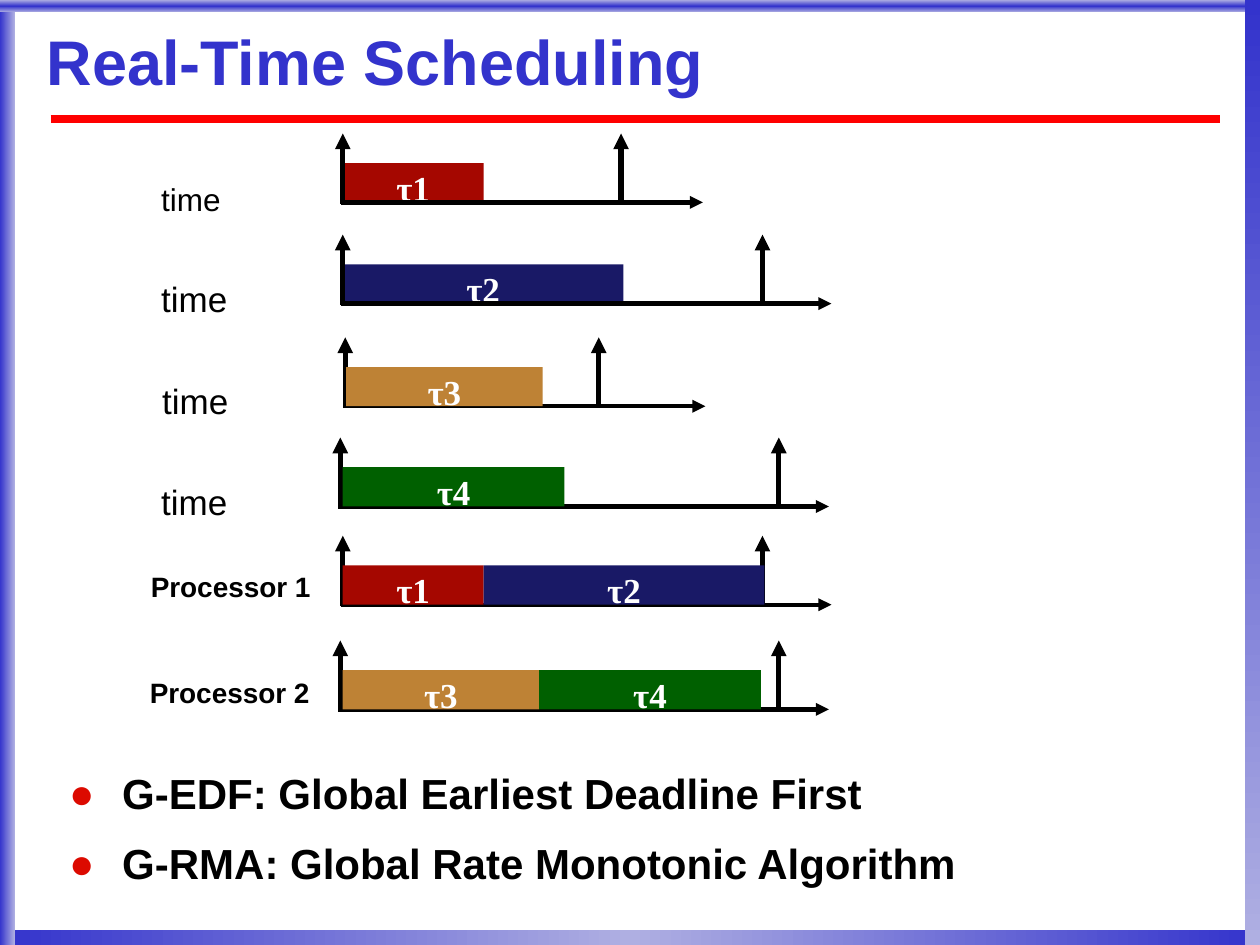
from dataclasses import dataclass
from lxml.etree import SubElement as Sub
from pptx import Presentation
from pptx.dml.color import RGBColor as Rgb
from pptx.enum.shapes import MSO_CONNECTOR as Conn, MSO_SHAPE as Kind
from pptx.enum.text import MSO_ANCHOR as Anchor, MSO_AUTO_SIZE as Fit, PP_ALIGN as Align
from pptx.oxml.ns import qn
from pptx.util import Cm, Pt

BLUE, PALE, BLACK = "3333CC", "AFAFE2", "000000"


@dataclass
class Task:
    name: str
    color: str
    width: float


@dataclass
class Row:
    label: str
    size: int
    at: tuple[float, float]
    left: float
    base: float
    due: float
    end: float
    tasks: list[Task]
    start: float = 6.91
    front: bool = True


T1 = Task("τ1", "A50700", 2.84)
T2 = Task("τ2", "191966", 5.66)
T3 = Task("τ3", "BE8235", 3.96)
T4 = Task("τ4", "006000", 4.47)

ROWS = [
    Row("time", 18, (3, 3.56), 6.91, 4.08, 12.52, 14.17, [T1], front=False),
    Row("time", 20, (3, 5.54), 6.91, 6.12, 15.37, 16.76, [T2], front=False),
    Row("time", 20, (3.02, 7.59), 6.96, 8.19, 12.07, 14.22, [T3], start=6.98),
    Row("time", 20, (3, 9.63), 6.86, 10.21, 15.7, 16.71, [T4]),
    Row("Processor 1", 16, (2.79, 11.4), 6.91, 12.19, 15.37, 16.76, [T1, T2]),
    Row("Processor 2", 16, (2.77, 13.54), 6.86, 14.3, 15.7, 16.71, [T3, T4]),
]

# Top, left, right and bottom bands: box, stops, angle
BANDS = [
    ((0, 18.75, 25.4, 0.3), (BLUE, PALE, BLUE), 0),
    ((0, 0, 0.3, 19.05), (BLUE, PALE), 0),
    ((0, 0, 25.4, 0.25), (PALE, BLUE, PALE), 270),
    ((25.1, 0, 0.3, 19.05), (BLUE, PALE), 270),
]

deck = Presentation()
deck.slide_width, deck.slide_height = Cm(25.4), Cm(19.05)
slide = deck.slides.add_slide(deck.slide_layouts[1])
shapes = slide.shapes


def tint(code: str) -> Rgb:
    return Rgb.from_string(code)


def write(para, text: str, size: int, color: str = BLACK, bold: bool = True,
          face: str = "Arial", space: float = 0.85):
    para.line_spacing = space
    run = para.add_run()
    run.text = text
    font = run.font
    font.size, font.bold, font.name = Pt(size), bold, face
    font.color.rgb = tint(color)
    return run


def block(x: float, y: float, w: float, h: float):
    box = shapes.add_shape(Kind.RECTANGLE, Cm(x), Cm(y), Cm(w), Cm(h))
    box.shadow.inherit = False
    box.line.fill.background()
    return box


def band(area: tuple, stops: tuple, angle: int) -> None:
    box = block(*area)
    box.fill.gradient()
    box.fill.gradient_angle = angle
    group = box.fill._xPr.find(qn("a:gradFill")).find(qn("a:gsLst"))
    for old in list(group):
        group.remove(old)
    for i, code in enumerate(stops):
        stop = Sub(group, qn("a:gs"), pos=str(100000 * i // (len(stops) - 1)))
        Sub(stop, qn("a:srgbClr"), val=code)


def line(x1: float, y1: float, x2: float, y2: float, width: float,
         color: str = BLACK, head: bool = True) -> None:
    link = shapes.add_connector(Conn.STRAIGHT, Cm(x1), Cm(y1), Cm(x2), Cm(y2))
    link.line.width = Pt(width)
    link.line.color.rgb = tint(color)
    if head:
        Sub(link.line._get_or_add_ln(), qn("a:tailEnd"), type="triangle")
    Sub(link._element.spPr, qn("a:effectLst"))


def frame(box, top: float = 0.19):
    text = box.text_frame
    text.word_wrap, text.auto_size = True, Fit.NONE
    text.vertical_anchor = Anchor.TOP
    text.margin_top, text.margin_bottom = Cm(top), 0
    return text


def bars(row: Row) -> None:
    x = row.start
    for task in row.tasks:
        box = block(x, row.base - 0.79, task.width, 0.79)
        box.fill.solid()
        box.fill.fore_color.rgb = tint(task.color)
        para = frame(box).paragraphs[0]
        para.alignment = Align.CENTER
        write(para, task.name, 20, "FFFFFF", face="Times New Roman")
        x += task.width


def axes(row: Row) -> None:
    for x in (row.left, row.due):
        line(x, row.base + 0.03, x, row.base - 1.39, 3)
    line(row.left - 0.04, row.base, row.end, row.base, 2.5)


def label(row: Row) -> None:
    wide = row.label != "time"
    box = shapes.add_textbox(Cm(row.at[0]), Cm(row.at[1]),
                             Cm(5.13 if wide else 2.54), Cm(0.79))
    write(frame(box).paragraphs[0], row.label, row.size, bold=wide)


def place(box, x: float, y: float, w: float, h: float) -> None:
    box.left, box.top, box.width, box.height = Cm(x), Cm(y), Cm(w), Cm(h)


# Frame and rule
for item in BANDS:
    band(*item)
line(1.02, 2.39, 24.59, 2.39, 4.5, "FF0000", head=False)

# Title with text shadow
title = shapes.title
place(title, 0.94, 0.38, 23.62, 1.88)
head = frame(title, 0)
head.margin_left = head.margin_right = 0
head.vertical_anchor = Anchor.MIDDLE
para = head.paragraphs[0]
para.alignment = Align.LEFT
run = write(para, "Real-Time Scheduling", 36, BLUE, space=0.87)
props = run.font._element
glow = Sub(props, qn("a:effectLst"))
props.find(qn("a:solidFill")).addnext(glow)
shade = Sub(glow, qn("a:outerShdw"), dist="35921", dir="2700000")
Sub(shade, qn("a:srgbClr"), val="B2B2B2")

# Timelines
for row in ROWS:
    for draw in (axes, bars) if row.front else (bars, axes):
        draw(row)
    label(row)

# Bullet list
body = slide.placeholders[1]
place(body, 1.14, 15.44, 23.06, 2.21)
text = frame(body, 0.13)
for i, words in enumerate(["G-EDF: Global Earliest Deadline First",
                           "G-RMA: Global Rate Monotonic Algorithm"]):
    para = text.add_paragraph() if i else text.paragraphs[0]
    para.space_before = Pt(13)
    write(para, words, 24, space=0.93)
    props = para._p.get_or_add_pPr()
    props.set("marL", str(Cm(1.07)))
    props.set("indent", str(-Cm(1.07)))
    Sub(Sub(props, qn("a:buClr")), qn("a:srgbClr"), val="DC0A00")
    Sub(props, qn("a:buChar"), char="●")

deck.save("out.pptx")
